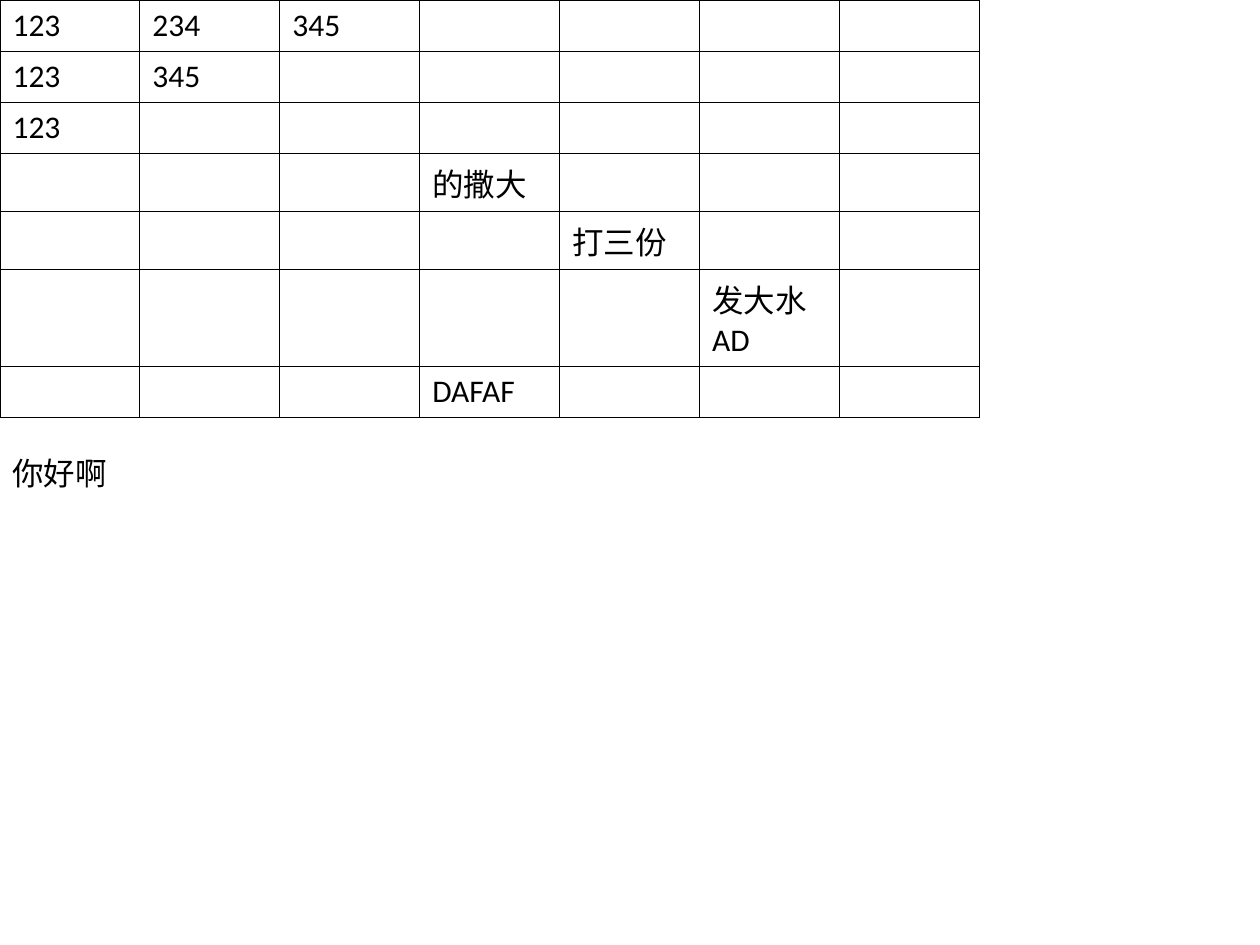
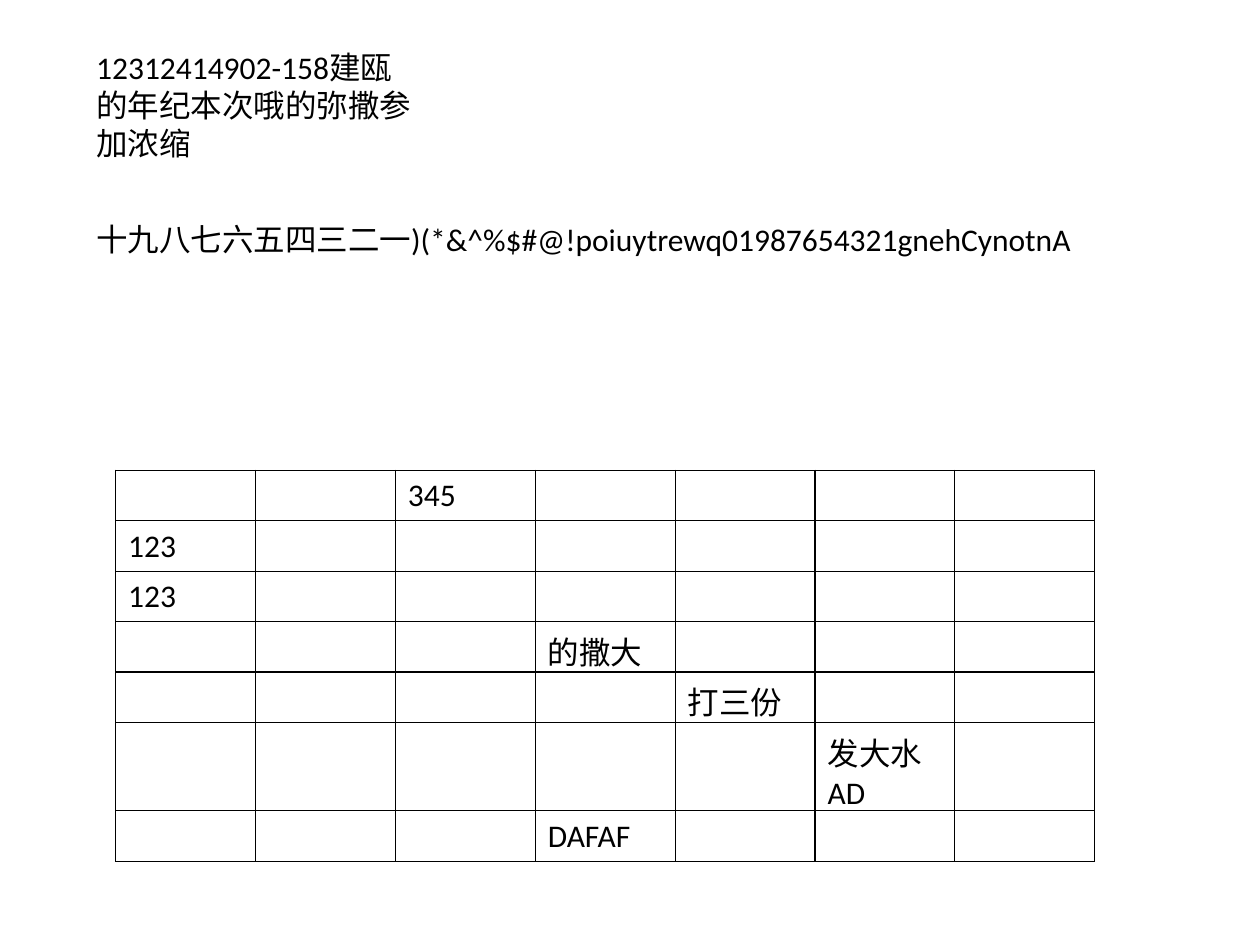
from dataclasses import dataclass

from lxml import etree
from pptx import Presentation
from pptx import util as u
from pptx.dml.color import RGBColor
from pptx.enum import text
from pptx.oxml.ns import qn


@dataclass(frozen=True)
class Theme:
    font: str = "Calibri"
    size: u.Pt = u.Pt(18)
    ink: str = "000000"
    paper: str = "FFFFFF"
    border: u.Pt = u.Pt(0.75)


GRID_SIZE = 7
COLUMN_WIDTH = u.Cm(2.82)
ROW_HEIGHT = u.Cm(0.71)
TABLE_HEIGHT = u.Cm(7.87)

# Cell texts by (row, column)
SHARED_CELLS = {
    (0, 2): "345", (1, 0): "123", (2, 0): "123", (3, 3): "的撒大",
    (4, 4): "打三份", (5, 5): "发大水AD", (6, 3): "DAFAF",
}
FULL_CELLS = SHARED_CELLS | {(0, 0): "123", (0, 1): "234", (1, 1): "345"}


class Deck:
    def __init__(self, theme):
        self.theme = theme
        self.prs = Presentation()
        self.prs.slide_width, self.prs.slide_height = u.Cm(25.4), u.Cm(19.05)
        self.s = None

    def add_slide(self):
        self.s = self.prs.slides.add_slide(self.prs.slide_layouts[6])
        fill = self.s.background.fill
        fill.solid()
        fill.fore_color.rgb = RGBColor.from_string(self.theme.paper)

    def add_run(self, p, content):
        r = p.add_run()
        r.text = content
        r.font.name = self.theme.font
        r.font.size = self.theme.size
        r.font.color.rgb = RGBColor.from_string(self.theme.ink)

    def add_text(self, content, left, top, width, height, grow=True):
        sp = self.s.shapes.add_textbox(u.Cm(left), u.Cm(top), u.Cm(width), u.Cm(height))
        tf = sp.text_frame
        tf.word_wrap = True
        if grow:
            tf.auto_size = text.MSO_AUTO_SIZE.SHAPE_TO_FIT_TEXT
        self.add_run(tf.paragraphs[0], content)

    def add_borders(self, cell):
        tc_pr = cell._tc.get_or_add_tcPr()
        for i, side in enumerate(("lnL", "lnR", "lnT", "lnB")):
            ln = etree.Element(qn(f"a:{side}"), w=str(self.theme.border))
            fill = etree.SubElement(ln, qn("a:solidFill"))
            etree.SubElement(fill, qn("a:srgbClr"), val=self.theme.ink)
            tc_pr.insert(i, ln)

    def add_grid(self, cells, left, top):
        """Add a square bordered table holding the texts in cells."""
        frame = self.s.shapes.add_table(
            GRID_SIZE, GRID_SIZE, u.Cm(left), u.Cm(top),
            COLUMN_WIDTH * GRID_SIZE, TABLE_HEIGHT)
        table = frame.table
        table.first_row = table.horz_banding = False
        for column in table.columns:
            column.width = COLUMN_WIDTH
        for i, row in enumerate(table.rows):
            row.height = ROW_HEIGHT
            for j, cell in enumerate(row.cells):
                cell.fill.background()
                self.add_borders(cell)
                p = cell.text_frame.paragraphs[0]
                p.font.size = self.theme.size
                if (i, j) in cells:
                    self.add_run(p, cells[i, j])
                if i < 3:
                    cell.vertical_anchor = text.MSO_ANCHOR.MIDDLE
        frame.height = TABLE_HEIGHT


def main():
    deck = Deck(Theme())

    deck.add_slide()
    deck.add_grid(FULL_CELLS, 0, 0)
    deck.add_text("你好啊", 0, 9.02, 8.47, 1.03)

    deck.add_slide()
    deck.add_text("十九八七六五四三二一)(*&^%$#@!poiuytrewq01987654321gnehCynotnA",
                  1.69, 4.32, 25.4, 2.12, grow=False)
    deck.add_text("12312414902-158建瓯的年纪本次哦的弥撒参加浓缩",
                  1.69, 0.85, 6.99, 2.56)
    deck.add_grid(SHARED_CELLS, 2.33, 9.48)

    deck.prs.save("out.pptx")


if __name__ == "__main__":
    main()
